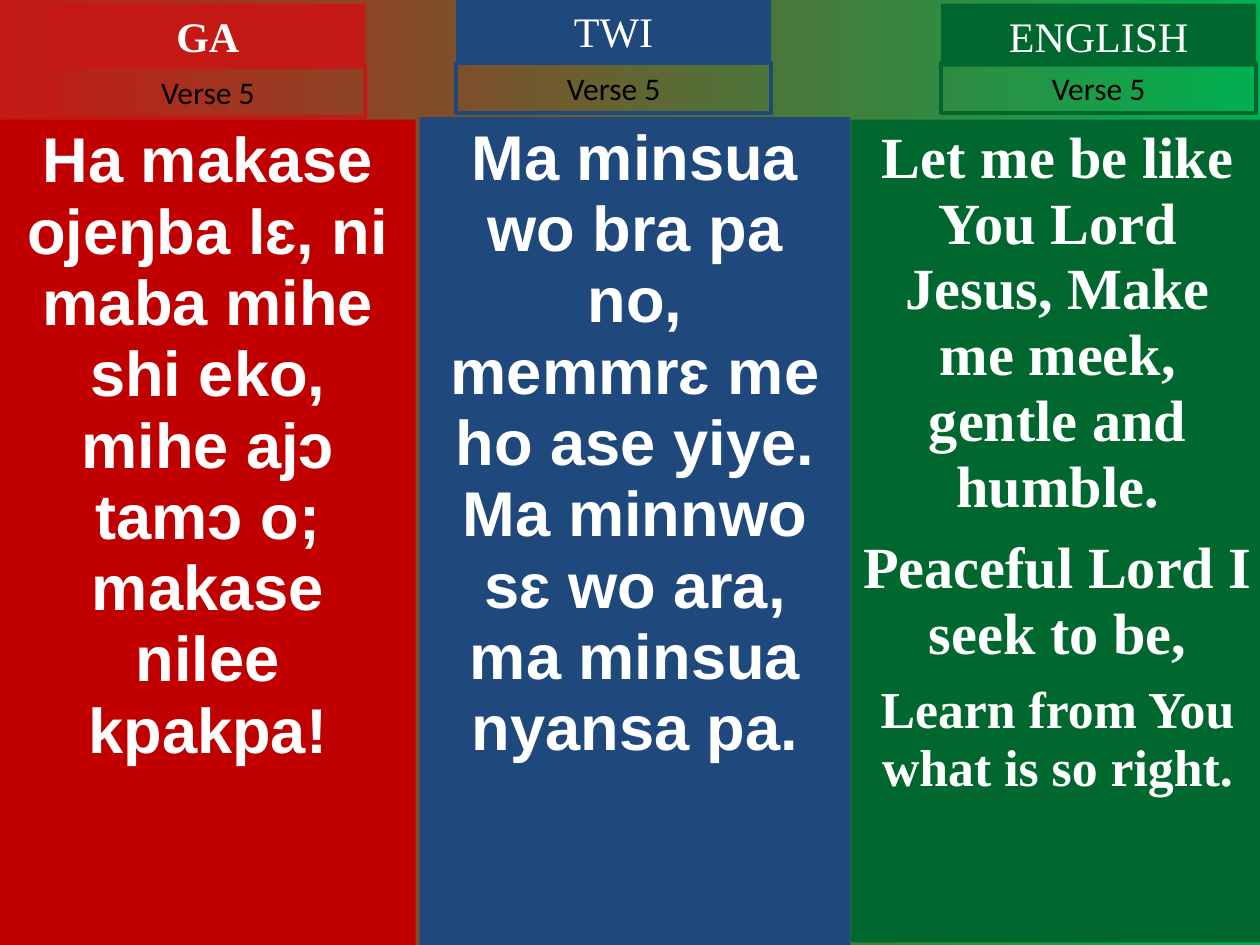
from pptx import Presentation
from pptx import util as u
from pptx.dml.color import RGBColor
from pptx.enum import shapes, text

COLORS = {
    "red": "C51915", "dark_red": "C00000", "blue": "1F497D",
    "green": "00682F", "bright_green": "00B050",
    "white": "FFFFFF", "black": "000000",
}
LABEL_WIDTH, HEADER_HEIGHT, VERSE_HEIGHT = 2.5, 0.5, 0.4

# Each lyric is (text, size, space before); each panel is (left, top, width, height).
COLUMNS = [
    dict(name="GA", name_bold=True, color="red", panel_color="dark_red",
         panel=(0, 0.95, 3.3, 6.55), label_left=0.4, header_top=0.03,
         verse_top=0.53, font="Arial",
         lyrics=[("Ha makase ojeŋba lɛ, ni maba mihe shi eko,", 36.1, 0),
                 ("mihe ajɔ tamɔ o; makase nilee kpakpa!", 36.1, 0)]),
    dict(name="TWI", name_bold=False, color="blue", panel_color="blue",
         panel=(3.33, 0.93, 3.42, 6.57), label_left=3.62, header_top=-0.01,
         verse_top=0.5, font="Arial",
         lyrics=[("Ma minsua wo bra pa no,", 36.1, 0),
                 ("memmrɛ me ho ase yiye.", 36.1, 0),
                 ("Ma minnwo sɛ wo ara,", 36.1, 0),
                 ("ma minsua nyansa pa.", 36.1, 0)]),
    dict(name="ENGLISH", name_bold=False, color="green", panel_color="green",
         panel=(6.75, 0.95, 3.29, 6.53), label_left=7.47, header_top=0.03,
         verse_top=0.5, font="Times New Roman",
         lyrics=[("Let me be like You Lord Jesus, Make me meek, gentle and humble.",
                  33.3, 0),
                 ("Peaceful Lord I seek to be,", 33.3, 9),
                 ("Learn from You what is so right.", 29.6, 8)]),
]


def rgb(name):
    return RGBColor.from_string(COLORS[name])


def paint_background(slide):
    fill = slide.background.fill
    fill.gradient()
    fill.gradient_angle = 0
    for stop, position, color in zip(fill.gradient_stops, (0, 1),
                                     ("red", "bright_green")):
        stop.position = position
        stop.color.rgb = rgb(color)


def add_box(slide, box, fill=None, line=None, anchor=text.MSO_ANCHOR.TOP):
    shape = slide.shapes.add_shape(shapes.MSO_SHAPE.RECTANGLE,
                                   *(u.Inches(length) for length in box))
    shape.shadow.inherit = False
    if fill:
        shape.fill.solid()
        shape.fill.fore_color.rgb = rgb(fill)
    else:
        shape.fill.background()
    if line:
        shape.line.color.rgb = rgb(line)
        shape.line.width = u.Pt(2.25)
    else:
        shape.line.fill.background()
    shape.text_frame.word_wrap = True
    shape.text_frame.vertical_anchor = anchor
    return shape


def write(paragraph, content, size, font, color="white", bold=False,
          before=0, spacing=None):
    paragraph.text = content
    paragraph.alignment = text.PP_ALIGN.CENTER
    paragraph.space_before = u.Pt(before)
    paragraph.line_spacing = spacing
    paragraph.font.size = u.Pt(size)
    paragraph.font.name = font
    paragraph.font.bold = bold
    paragraph.font.color.rgb = rgb(color)


def add_label(slide, box, content, size, font, color="white", bold=False, **paint):
    shape = add_box(slide, box, anchor=text.MSO_ANCHOR.MIDDLE, **paint)
    shape.text_frame.auto_size = text.MSO_AUTO_SIZE.SHAPE_TO_FIT_TEXT
    write(shape.text_frame.paragraphs[0], content, size, font, color, bold)


def add_lyrics(slide, box, lyrics, font, fill):
    frame = add_box(slide, box, fill=fill).text_frame
    for index, (content, size, before) in enumerate(lyrics):
        paragraph = frame.add_paragraph() if index else frame.paragraphs[0]
        write(paragraph, content, size, font, bold=True, before=before, spacing=0.94)


def add_column(slide, column):
    """Add one language: lyrics panel, language name and verse number."""
    left, color = column["label_left"], column["color"]
    add_lyrics(slide, column["panel"], column["lyrics"], column["font"],
               column["panel_color"])
    add_label(slide, (left, column["header_top"], LABEL_WIDTH, HEADER_HEIGHT),
              column["name"], 24, "Times New Roman", bold=column["name_bold"],
              fill=color)
    add_label(slide, (left, column["verse_top"], LABEL_WIDTH, VERSE_HEIGHT),
              "Verse 5", 18, "Calibri", color="black", line=color)


def main():
    presentation = Presentation()
    presentation.slide_width = u.Inches(10)
    presentation.slide_height = u.Inches(7.5)
    slide = presentation.slides.add_slide(presentation.slide_layouts[6])
    paint_background(slide)
    for column in COLUMNS:
        add_column(slide, column)
    presentation.save("out.pptx")


if __name__ == "__main__":
    main()
